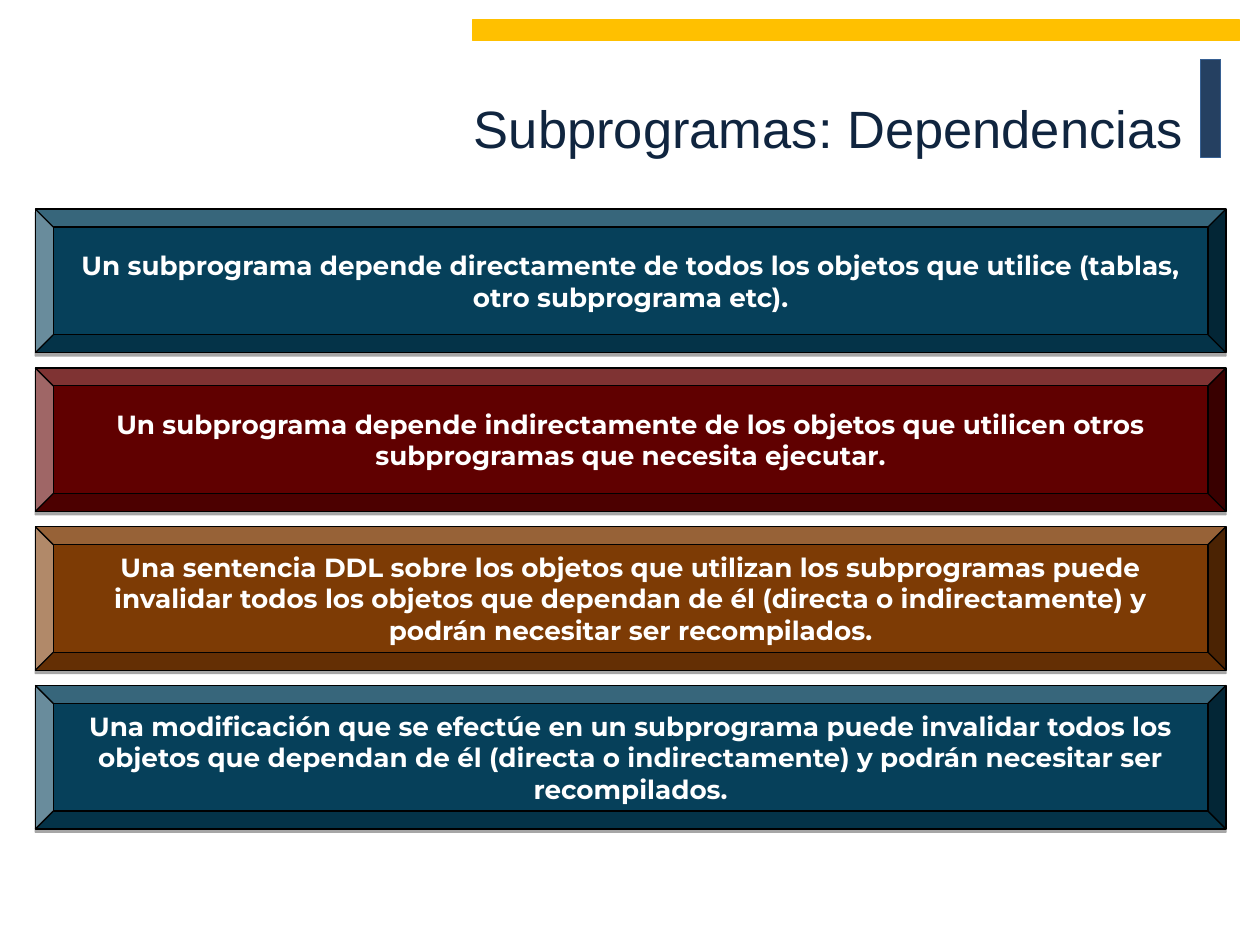
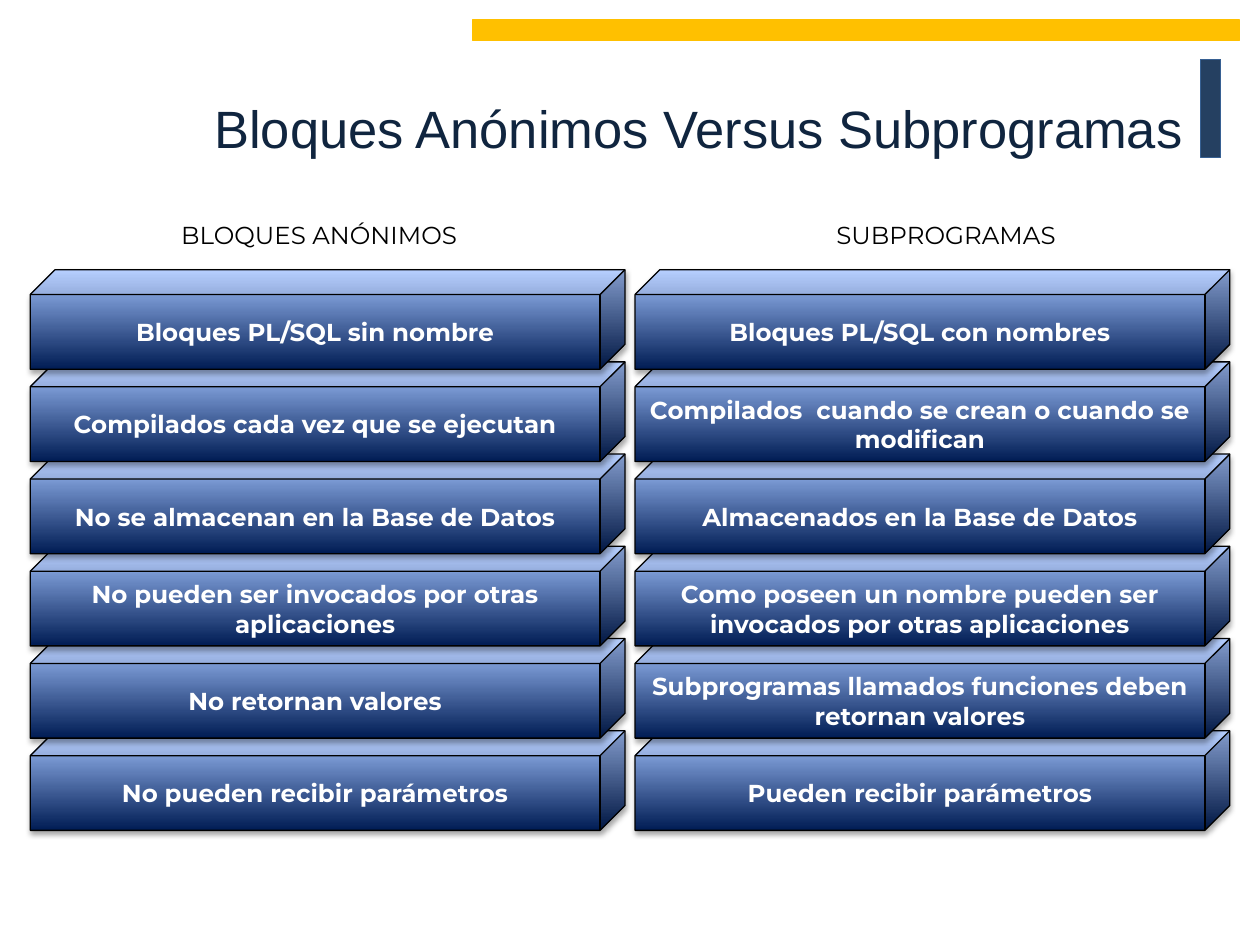
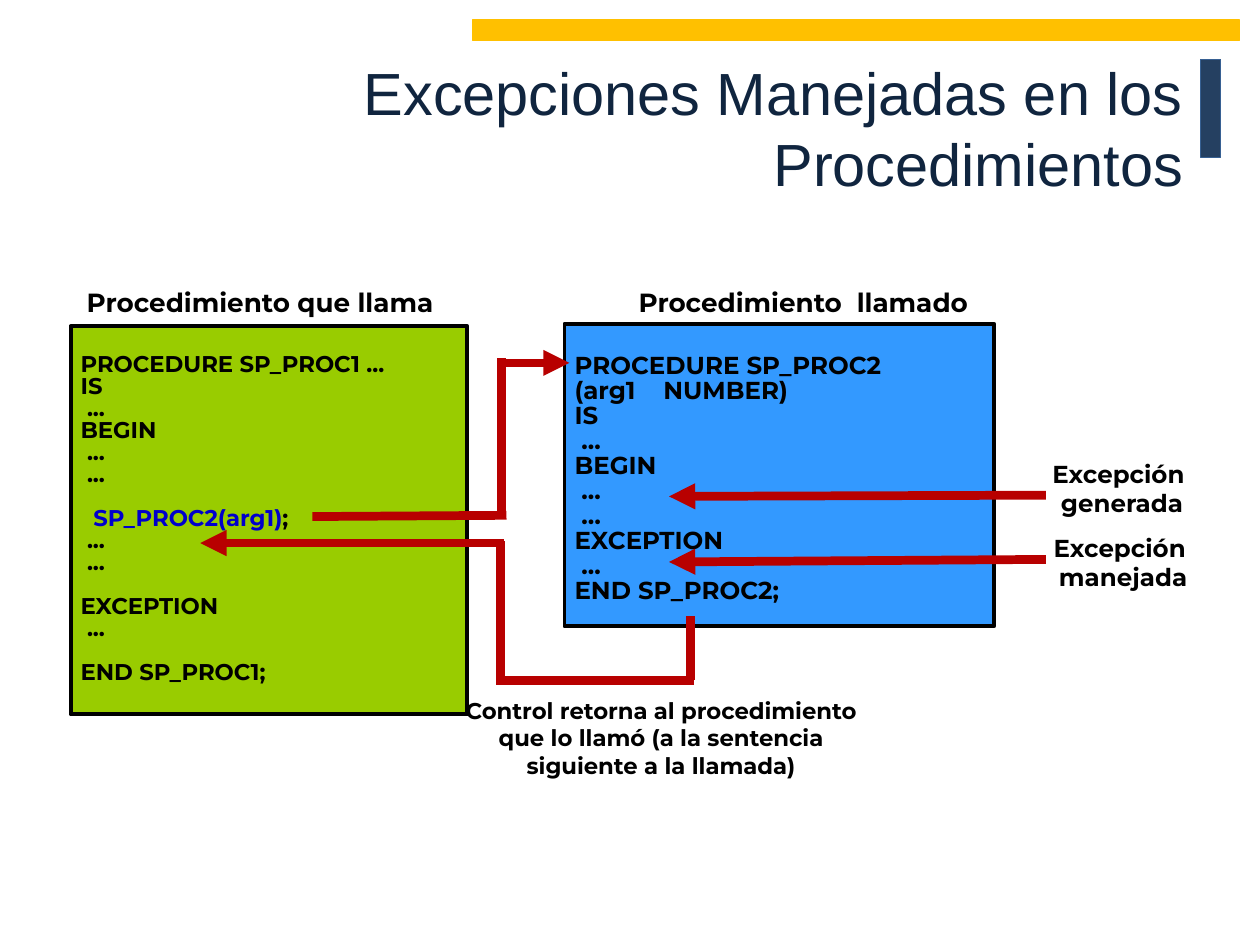
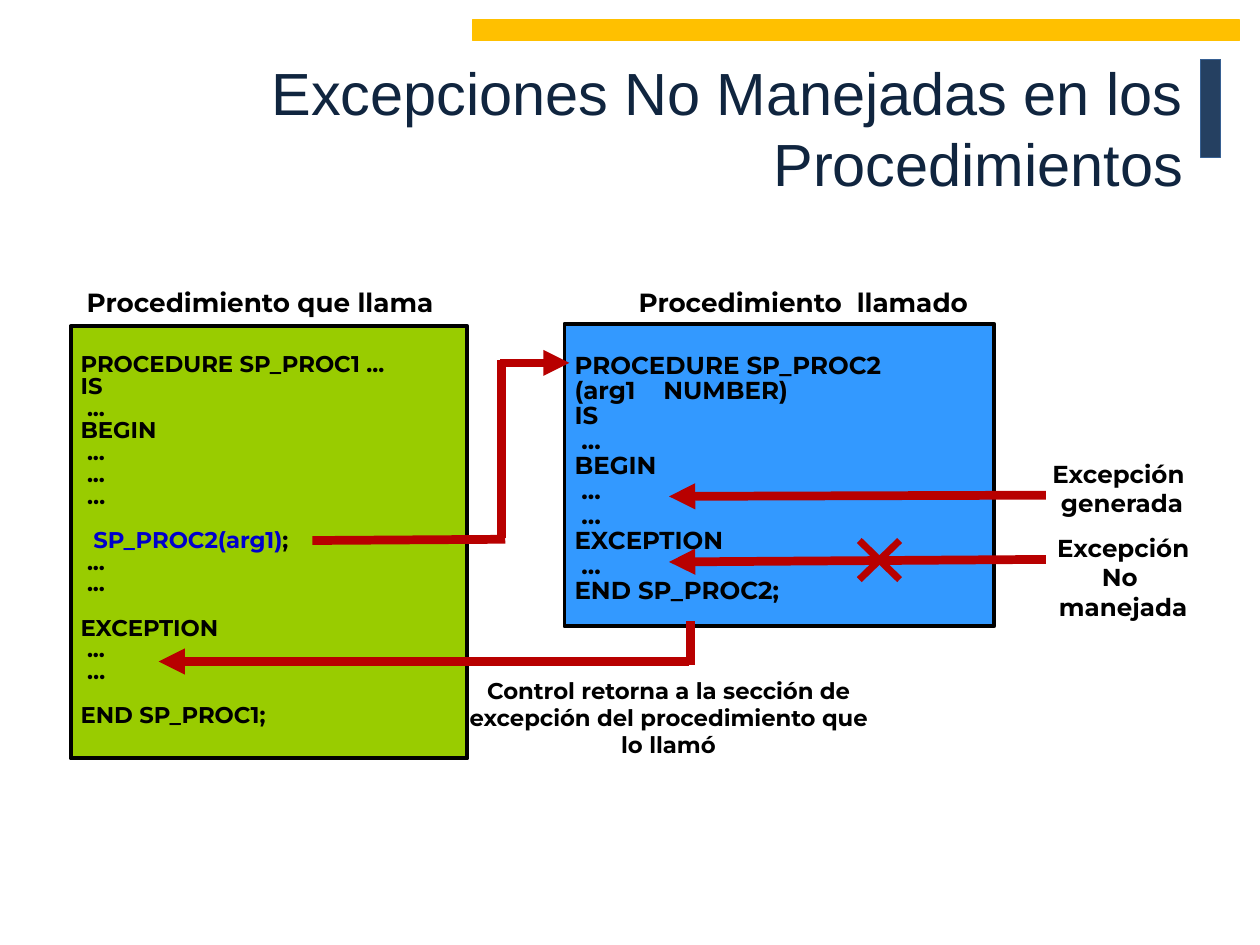
from pptx import Presentation
from pptx import util as u
from pptx.dml.color import RGBColor
from pptx.enum import shapes, text
from pptx.oxml import parse_xml
from pptx.oxml.ns import nsdecls

W, H = 10, 7.5
SANS, MONT = "Arial", "Montserrat"
HEX = {
    "navy": "254061", "edge": "376092", "gold": "FFC000", "title": "10253F",
    "teal": "06405A", "wine": "600000", "brown": "7D3B05",
    "deep": "001C54", "sky": "A4C4FF", "green": "99CC00", "blue": "3399FF",
    "call": "0000CC", "red": "B80000", "black": "000000", "white": "FFFFFF",
}
FORM, ALIGN = shapes.MSO_SHAPE, text.PP_ALIGN

# Content: dependencies
RULES = [
    ("teal", "Un subprograma depende directamente de todos los objetos que "
             "utilice (tablas, otro subprograma etc)."),
    ("wine", "Un subprograma depende indirectamente de los objetos que "
             "utilicen otros subprogramas que necesita ejecutar."),
    ("brown", "Una sentencia DDL sobre los objetos que utilizan los "
              "subprogramas puede invalidar todos los objetos que dependan de "
              "él (directa o indirectamente) y podrán necesitar ser "
              "recompilados."),
    ("teal", "Una modificación que se efectúe en un subprograma puede "
             "invalidar todos los objetos que dependan de él (directa o "
             "indirectamente) y podrán necesitar ser recompilados."),
]

# Content: comparison, one pair per row
KINDS = ["BLOQUES ANÓNIMOS", "SUBPROGRAMAS"]
PAIRS = [
    ("Bloques PL/SQL sin nombre", "Bloques PL/SQL con nombres"),
    ("Compilados cada vez que se ejecutan",
     "Compilados  cuando se crean o cuando se modifican"),
    ("No se almacenan en la Base de Datos", "Almacenados en la Base de Datos"),
    ("No pueden ser invocados por otras aplicaciones",
     "Como poseen un nombre pueden ser invocados por otras aplicaciones"),
    ("No retornan valores",
     "Subprogramas llamados funciones deben retornan valores"),
    ("No pueden recibir parámetros", "Pueden recibir parámetros"),
]

# Content: exceptions; an empty code line stands for a gap
ROLES = ["Procedimiento que llama", "Procedimiento  llamado"]
CALL = "SP_PROC2(arg1)"
START = ["PROCEDURE SP_PROC1 ...", "IS", " ...", "BEGIN", " ...", " ..."]
AFTER = ["", f"  {CALL};", " ...", " ...", "", "EXCEPTION", " ..."]
END = ["", "END SP_PROC1;"]
CALLED = ["PROCEDURE SP_PROC2", "(arg1    NUMBER)", "IS", " ...", "BEGIN",
          " ...", " …", "EXCEPTION", " ...", "END SP_PROC2;"]
RAISED = ["Excepción ", "generada"]

# Each path is (points, ends in an arrow)
ENTRY = ([(3.97, 2.88), (4.52, 2.88)], True)
RAISE = ([(8.3, 3.93), (5.31, 3.94)], True)
CATCH = ([(8.3, 4.44), (5.31, 4.46)], True)
FLOWS = [
    {"title": "Excepciones Manejadas en los Procedimientos",
     "code": START + AFTER + END, "tall": 3.08,
     "catch": (["Excepción ", "manejada"], 0.57),
     "note": ("Control retorna al procedimiento que lo llamó (a la sentencia "
              "siguiente a la llamada)", (3.55, 5.48, 3.39, 0.98)),
     "paths": [([(5.48, 4.89), (5.48, 5.4)], False),
               ([(5.51, 5.4), (3.94, 5.4)], False),
               ([(3.97, 5.39), (3.97, 4.29)], False),
               ([(4, 4.31), (1.59, 4.31)], True),
               ([(2.48, 4.1), (4.02, 4.09)], False),
               ([(3.98, 4.1), (3.98, 2.84)], False)],
     "cross": None},
    {"title": "Excepciones No Manejadas en los Procedimientos",
     "code": START + [" …"] + AFTER + [" …"] + END, "tall": 3.43,
     "catch": (["Excepción No ", "manejada"], 0.81),
     "note": ("Control retorna a la sección de excepción del procedimiento "
              "que lo llamó", (3.61, 5.32, 3.39, 0.76)),
     "paths": [([(5.48, 4.93), (5.48, 5.28)], False),
               ([(5.47, 5.25), (1.26, 5.25)], True),
               ([(2.48, 4.29), (4.01, 4.28)], False),
               ([(3.98, 4.27), (3.98, 2.86)], False)],
     "cross": (6.82, 4.29, 7.14, 4.6)},
]


def rgb(name):
    return RGBColor.from_string(HEX[name])


def inch(box):
    return [u.Inches(v) for v in box]


def write(para, words, size, color="black", bold=True, face=MONT):
    run = para.add_run()
    run.text = words
    font = run.font
    font.size, font.name, font.bold = u.Pt(size), face, bold
    font.color.rgb = rgb(color)


def shape(slide, form, box, fill=None, line="black", width=0.75):
    item = slide.shapes.add_shape(form, *inch(box))
    if fill:
        item.fill.solid()
        item.fill.fore_color.rgb = rgb(fill)
    item.line.color.rgb = rgb(line)
    item.line.width = u.Pt(width)
    item.shadow.inherit = False
    item.text_frame.word_wrap = True
    return item


def shade(item, blur):
    """Drop a soft shadow straight down."""
    glow = item.element.spPr.find(
        "{http://schemas.openxmlformats.org/drawingml/2006/main}effectLst")
    glow.append(parse_xml(
        f'<a:outerShdw {nsdecls("a")} blurRad="{u.Pt(blur)}" '
        f'dist="{u.Pt(1.8)}" dir="5400000" rotWithShape="0">'
        f'<a:srgbClr val="{HEX["black"]}"><a:alpha val="35000"/></a:srgbClr>'
        '</a:outerShdw>'))


def label(item, words, size):
    frame = item.text_frame
    frame.vertical_anchor = text.MSO_ANCHOR.MIDDLE
    para = frame.paragraphs[0]
    para.alignment = ALIGN.CENTER
    write(para, words, size, "white")


def note(slide, lines, box, size):
    frame = slide.shapes.add_textbox(*inch(box)).text_frame
    frame.word_wrap = True
    for i, words in enumerate(lines):
        para = frame.add_paragraph() if i else frame.paragraphs[0]
        para.alignment = ALIGN.CENTER
        write(para, words, size)


def heads(slide, words, box, stops, size, bold, space, top=0.05):
    """Write column heads on one line, set apart by tab stops."""
    frame = slide.shapes.add_textbox(*inch(box)).text_frame
    frame.word_wrap = True
    frame.margin_top = u.Inches(top)
    para = frame.paragraphs[0]
    tabs = "".join(f'<a:tab pos="{u.Inches(s)}" algn="l"/>' for s in stops)
    para._p.get_or_add_pPr().append(
        parse_xml(f'<a:tabLst {nsdecls("a")}>{tabs}</a:tabLst>'))
    para.line_spacing = space
    lead = "\t" * (len(stops) - len(words) + 1)
    write(para, lead + "\t".join(words), size, bold=bold)


def code(slide, lines, box, fill, size, space, top):
    item = shape(slide, FORM.RECTANGLE, box, fill, width=2.25)
    frame = item.text_frame
    frame.vertical_anchor = text.MSO_ANCHOR.TOP
    frame.margin_left = frame.margin_right = u.Inches(0.08)
    frame.margin_top, frame.margin_bottom = inch((top, 0.04))
    row = round(size * 1.22 * space, 1)
    para, gap = frame.paragraphs[0], False
    for i, words in enumerate(lines):
        if not words:
            gap = True
            continue
        if i:
            para = frame.add_paragraph()
        para.alignment, para.line_spacing = ALIGN.LEFT, space
        if gap:
            para.space_before = u.Pt(row)
            gap = False
        for part in words.partition(CALL):
            if part:
                write(para, part, size, "call" if part == CALL else "black")


def line(slide, start, end, width=5, arrow=False):
    item = slide.shapes.add_connector(
        shapes.MSO_CONNECTOR.STRAIGHT, *inch(start + end))
    item.line.color.rgb = rgb("red")
    item.line.width = u.Pt(width)
    if arrow:
        item.line._get_or_add_ln().append(
            parse_xml(f'<a:tailEnd {nsdecls("a")} type="triangle"/>'))
    item.element.spPr.append(parse_xml(f'<a:effectLst {nsdecls("a")}/>'))


def page(deck, words, size):
    slide = deck.slides.add_slide(deck.slide_layouts[5])
    title = slide.shapes.title
    title.left, title.top, title.width, title.height = inch(
        (0.97, 0.21, 8.52, 1.6))
    frame = title.text_frame
    frame.word_wrap = True
    frame.auto_size = text.MSO_AUTO_SIZE.NONE
    frame.vertical_anchor = text.MSO_ANCHOR.MIDDLE
    para = frame.paragraphs[0]
    para.alignment = ALIGN.RIGHT
    write(para, words, size, "title", False, SANS)
    return slide


def bands(deck, slide):
    """Put the two bands on the layout, so every slide shows them."""
    tree = deck.slide_layouts[5].shapes.element
    for box, fill, edge in [((9.53, 0.47, 0.16, 0.78), "navy", "edge"),
                            ((3.75, 0.16, 6.09, 0.16), "gold", "gold")]:
        tree.append(shape(slide, FORM.RECTANGLE, box, fill, edge).element)


def depend(deck):
    slide = page(deck, "Subprogramas: Dependencias", 30)
    bands(deck, slide)
    for i, (fill, words) in enumerate(RULES):
        box = (0.28, 1.66 + 1.26 * i, 9.45, 1.14)
        item = shape(slide, FORM.BEVEL, box, fill)
        shade(item, 0)
        label(item, words, 15)


def versus(deck):
    slide = page(deck, "Bloques Anónimos Versus Subprogramas", 30)
    heads(slide, KINDS, (0.67, 1.7, 8.74, 0.45), (0.67, 5.87), 14, False,
          0.8, 0.09)
    # Bottom row first, so each cube overlaps the one below
    step = (5.8 - 2.14) / (len(PAIRS) - 1)
    for row, pair in reversed(list(enumerate(PAIRS))):
        for col, words in enumerate(pair):
            box = (0.24 + 4.8 * col, 2.14 + step * row, 4.72, 0.79)
            item = shape(slide, FORM.CUBE, box)
            item.fill.gradient()
            item.fill.gradient_angle = 90
            for stop, name in zip(item.fill.gradient_stops, ("deep", "sky")):
                stop.color.rgb = rgb(name)
            shade(item, 3.1)
            label(item, words, 14)


def flow(deck, data):
    slide = page(deck, data["title"], 34)
    # Procedures
    code(slide, data["code"], (0.56, 2.59, 3.15, data["tall"]), "green",
         13, 0.8, 0.23)
    heads(slide, ROLES, (0.59, 2.24, 8.74, 0.34), (4.38,), 15, True, 0.95)
    code(slide, CALLED, (4.48, 2.57, 3.41, 2.4), "blue", 14, 0.85, 0.24)
    # Notes
    caught, tall = data["catch"]
    note(slide, RAISED, (8.08, 3.59, 1.65, 0.57), 14)
    note(slide, caught, (8.13, 4.18, 1.57, tall), 14)
    words, box = data["note"]
    note(slide, [words], box, 13)
    # Arrows
    for (start, end), arrow in data["paths"] + [ENTRY, RAISE, CATCH]:
        line(slide, start, end, arrow=arrow)
    if data["cross"]:
        left, top, right, low = data["cross"]
        line(slide, (left, top), (right, low), 4)
        line(slide, (right, top), (left, low), 4)


def main():
    deck = Presentation()
    deck.slide_width, deck.slide_height = inch((W, H))
    depend(deck)
    versus(deck)
    for data in FLOWS:
        flow(deck, data)
    deck.save("out.pptx")


if __name__ == "__main__":
    main()
